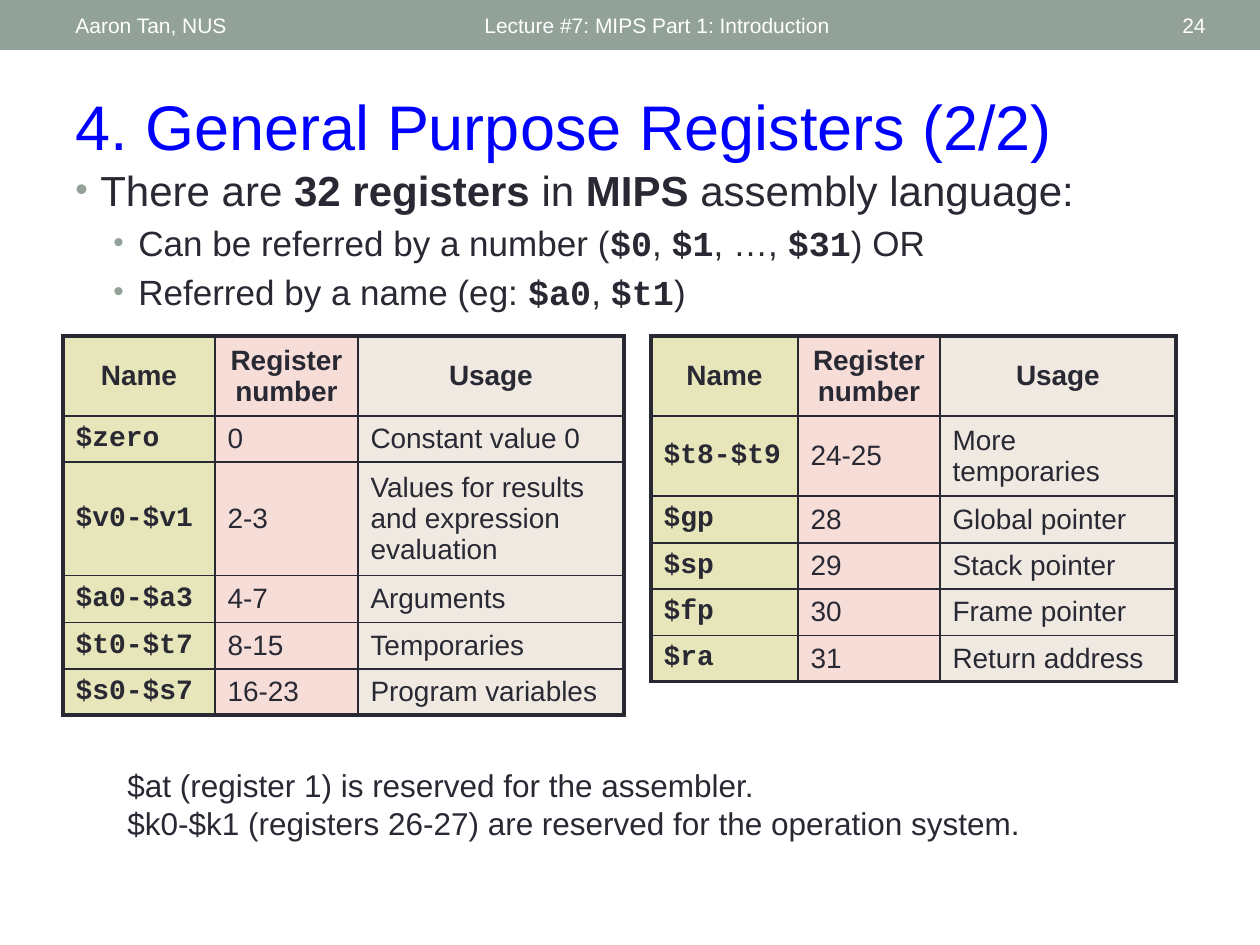
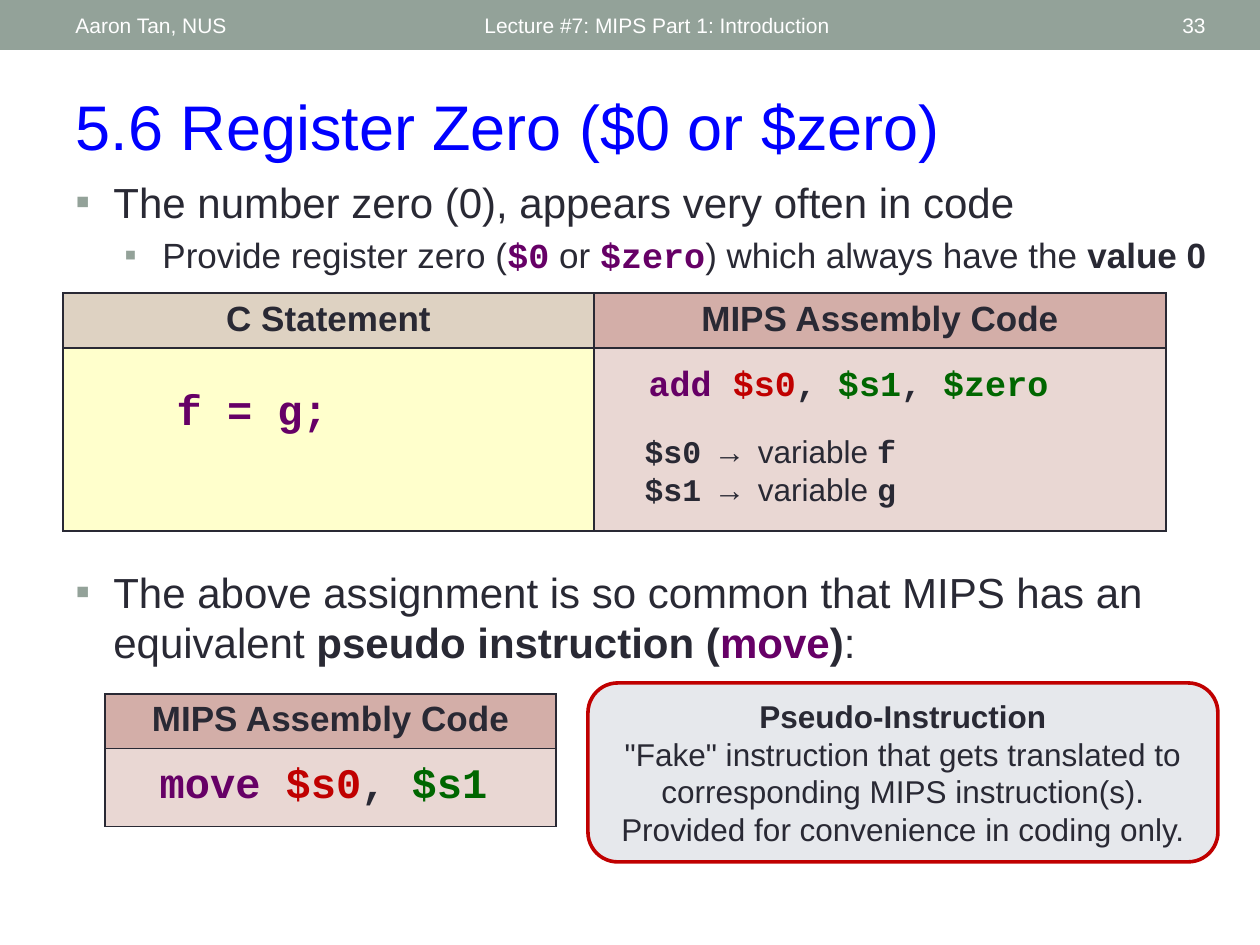
from dataclasses import dataclass, field

from lxml.etree import SubElement
from pptx import Presentation
from pptx.dml.color import RGBColor
from pptx.enum.shapes import MSO_SHAPE
from pptx.enum.text import MSO_ANCHOR, MSO_AUTO_SIZE, PP_ALIGN
from pptx.oxml.ns import qn
from pptx.util import Pt

SCALE = 914400 / 126
SANS, MONO = "Arial", "Courier New"

WHITE = RGBColor(0xFF, 0xFF, 0xFF)
INK = RGBColor(0x29, 0x29, 0x34)
SAGE = RGBColor(0x93, 0xA2, 0x99)
TITLE_BLUE = RGBColor(0x00, 0x00, 0xFF)
PURPLE = RGBColor(0x66, 0x00, 0x66)
RED = RGBColor(0xC0, 0x00, 0x00)
GREEN = RGBColor(0x00, 0x66, 0x00)
OLIVE = RGBColor(0xE7, 0xE5, 0xBA)
PINK = RGBColor(0xF6, 0xDD, 0xD8)
LINEN = RGBColor(0xEF, 0xE9, 0xE1)
TAN = RGBColor(0xDE, 0xD2, 0xC2)
ROSE = RGBColor(0xD3, 0xAE, 0xA8)
PALE_ROSE = RGBColor(0xE9, 0xD7, 0xD3)
PALE_YELLOW = RGBColor(0xFF, 0xFF, 0xCC)
PALE_GREY = RGBColor(0xE6, 0xE8, 0xEC)

BOLD = {"bold": True}
CODE = {"name": MONO, "bold": True}
PLAIN_CODE = {"name": MONO}
CODE_PURPLE = {**CODE, "color": PURPLE}
CODE_RED = {**CODE, "color": RED}
CODE_GREEN = {**CODE, "color": GREEN}
CENTERED = {"alignment": PP_ALIGN.CENTER}
REGISTER_FILLS = [OLIVE, PINK, LINEN]


@dataclass
class Line:
    runs: list
    size: int
    color: RGBColor = INK
    layout: dict = field(default_factory=dict)
    indent: int = 0
    hanging: int = 0
    bullet: str = ""
    bullet_percent: int = 100


@dataclass
class Cell:
    lines: list
    fill: RGBColor
    frame: dict = field(default_factory=dict)


def px(*lengths):
    return [round(length * SCALE) for length in lengths]


def set_all(target, values):
    for name, value in values.items():
        setattr(target, name, value)


def add_bullet(properties, line):
    color = SubElement(properties, qn("a:buClr"))
    SubElement(color, qn("a:srgbClr"), val=str(SAGE))
    SubElement(properties, qn("a:buSzPct"), val=str(line.bullet_percent * 1000))
    SubElement(properties, qn("a:buFont"), typeface=SANS)
    SubElement(properties, qn("a:buChar"), char=line.bullet)


def write_lines(frame, lines):
    for index, line in enumerate(lines):
        paragraph = frame.add_paragraph() if index else frame.paragraphs[0]
        properties = paragraph._p.get_or_add_pPr()
        margin, first_line = px(line.indent, -line.hanging)
        properties.set("marL", str(margin))
        properties.set("indent", str(first_line))
        if line.bullet:
            add_bullet(properties, line)
        set_all(paragraph, line.layout)
        for text, style in line.runs:
            values = {"name": SANS, "bold": False, "size": Pt(line.size), **style}
            run = paragraph.add_run()
            run.text = text
            run.font.color.rgb = values.pop("color", line.color)
            set_all(run.font, values)


def add_text(slide, box, lines, anchor=MSO_ANCHOR.TOP):
    frame = slide.shapes.add_textbox(*px(*box)).text_frame
    set_all(frame, {"word_wrap": True, "vertical_anchor": anchor})
    write_lines(frame, lines)


def add_panel(slide, kind, box, fill):
    shape = slide.shapes.add_shape(kind, *px(*box))
    shape.shadow.inherit = False
    shape.fill.solid()
    shape.fill.fore_color.rgb = fill
    shape.line.fill.background()
    return shape


def add_slide(presentation, title, number, title_width):
    slide = presentation.slides.add_slide(presentation.slide_layouts[5])
    add_panel(slide, MSO_SHAPE.RECTANGLE, (0, 0, 1260, 50), SAGE)
    for left, width, text, alignment in [
        (63, 399, "Aaron Tan, NUS", PP_ALIGN.LEFT),
        (472, 567, "Lecture #7: MIPS Part 1: Introduction", PP_ALIGN.LEFT),
        (1098, 120, str(number), PP_ALIGN.RIGHT),
    ]:
        label = Line([(text, {})], 12, WHITE, {"alignment": alignment})
        add_text(slide, (left, 3, width, 45), [label], MSO_ANCHOR.MIDDLE)
    placeholder = slide.shapes.title
    left, top, width, height = px(63, 80, title_width, 89)
    set_all(placeholder, {"left": left, "top": top, "width": width, "height": height})
    set_all(placeholder.text_frame, {
        "word_wrap": True,
        "auto_size": MSO_AUTO_SIZE.NONE,
        "vertical_anchor": MSO_ANCHOR.BOTTOM,
    })
    heading = Line([(title, {})], 36, TITLE_BLUE, {"alignment": PP_ALIGN.LEFT})
    write_lines(placeholder.text_frame, [heading])
    return slide


def add_border(cell, side, width):
    border = SubElement(cell._tc.get_or_add_tcPr(), qn(f"a:ln{side}"), w=str(Pt(width)))
    fill = SubElement(border, qn("a:solidFill"))
    SubElement(fill, qn("a:srgbClr"), val=str(INK))


def add_grid(slide, left, top, widths, heights, rows, outline=1):
    box = px(left, top, sum(widths), sum(heights))
    table = slide.shapes.add_table(len(heights), len(widths), *box).table
    set_all(table, {"first_row": False, "horz_banding": False})
    for column, width in zip(table.columns, px(*widths)):
        column.width = width
    for row, height in zip(table.rows, px(*heights)):
        row.height = height
    last_row, last_column = len(heights) - 1, len(widths) - 1
    for row_index, row in enumerate(rows):
        for column_index, content in enumerate(row):
            cell = table.cell(row_index, column_index)
            outer_sides = {
                "L": column_index == 0,
                "R": column_index == last_column,
                "T": row_index == 0,
                "B": row_index == last_row,
            }
            for side, is_outer in outer_sides.items():
                add_border(cell, side, outline if is_outer else 1)
            cell.fill.solid()
            cell.fill.fore_color.rgb = content.fill
            set_all(cell, content.frame)
            write_lines(cell.text_frame, content.lines)


def add_register_table(slide, left, widths, heights, registers):
    middle = {"vertical_anchor": MSO_ANCHOR.MIDDLE}
    table_rows = [("Name", "Register number", "Usage"), *registers]
    rows = []
    for index, texts in enumerate(table_rows):
        styles = [CODE, {}, {}] if index else [BOLD] * 3
        layout = {} if index else CENTERED
        rows.append([
            Cell([Line([(text, style)], 16, layout=layout)], fill, middle)
            for text, style, fill in zip(texts, styles, REGISTER_FILLS)
        ])
    add_grid(slide, left, 336, widths, heights, rows, outline=2.25)


def header_cell(text, fill):
    return Cell([Line([(text, BOLD)], 20, layout=CENTERED)], fill)


def point(runs, size, indent, hanging, bullet, first=False, percent=100):
    layout = {} if first else {"space_before": Pt(size * 0.2)}
    return Line(runs, size, INK, layout, indent, hanging, bullet, percent)


def variable_line(register, variable, space_before=0):
    runs = [(register, CODE), (" → ", PLAIN_CODE), ("variable ", {}), (variable, CODE)]
    return Line(runs, 18, layout={"space_before": Pt(space_before)}, indent=38)


def build_registers(presentation):
    slide = add_slide(presentation, "4. General Purpose Registers (2/2)", 24, 1134)
    intro = [("There are ", {}), ("32 registers", BOLD), (" in ", {}),
             ("MIPS", BOLD), (" assembly language:", {})]
    by_number = [("Can be referred by a number (", {}), ("$0", CODE), (", ", {}),
                 ("$1", CODE), (", …, ", {}), ("$31", CODE), (") OR", {})]
    by_name = [("Referred by a name (eg: ", {}), ("$a0", CODE), (", ", {}),
               ("$t1", CODE), (")", {})]
    add_text(slide, (63, 158, 1134, 693), [
        point(intro, 24, 25, 25, "•", True, 85),
        point(by_number, 20, 63, 25, "•", percent=85),
        point(by_name, 20, 63, 25, "•", percent=85),
    ])
    add_register_table(slide, 63, [152, 143, 266], [80, 46, 113, 47, 46, 46], [
        ("$zero", "0", "Constant value 0"),
        ("$v0-$v1", "2-3", "Values for results and expression evaluation"),
        ("$a0-$a3", "4-7", "Arguments"),
        ("$t0-$t7", "8-15", "Temporaries"),
        ("$s0-$s7", "16-23", "Program variables"),
    ])
    add_register_table(slide, 651, [147, 142, 236], [80, 80, 47, 46, 46, 46], [
        ("$t8-$t9", "24-25", "More temporaries"),
        ("$gp", "28", "Global pointer"),
        ("$sp", "29", "Stack pointer"),
        ("$fp", "30", "Frame pointer"),
        ("$ra", "31", "Return address"),
    ])
    add_text(slide, (115, 760, 977, 89), [
        Line([(text, {})], 18) for text in (
            "$at (register 1) is reserved for the assembler.",
            "$k0-$k1 (registers 26-27) are reserved for the operation system.",
        )
    ])


def build_register_zero(presentation):
    slide = add_slide(presentation, "5.6 Register Zero ($0 or $zero)", 33, 1155)
    provide = [("Provide register zero (", {}), ("$0", CODE_PURPLE), (" or ", {}),
               ("$zero", CODE_PURPLE), (") which always have the ", {}), ("value 0", BOLD)]
    add_text(slide, (63, 170, 1166, 154), [
        point([("The number zero (0), appears very often in code", {})], 24, 38, 38, "▪", True),
        point(provide, 20, 87, 38, "▪"),
    ])

    middle = {"vertical_anchor": MSO_ANCHOR.MIDDLE}
    assembly_header = header_cell("MIPS Assembly Code", ROSE)
    statement = Line([("f = g;", CODE_PURPLE)], 24,
                     layout={"line_spacing": Pt(24)}, indent=101)
    addition = Line([("add ", CODE_PURPLE), ("$s0", CODE_RED), (", ", CODE),
                     ("$s1", CODE_GREEN), (", ", CODE), ("$zero", CODE_GREEN)], 20, indent=42)
    assembly = [addition, variable_line("$s0", "f", 16), variable_line("$s1", "g")]
    add_grid(slide, 63, 293, [531, 572], [55, 183], [
        [header_cell("C Statement", TAN), assembly_header],
        [Cell([statement], PALE_YELLOW, {"margin_top": px(48)[0]}),
         Cell(assembly, PALE_ROSE, middle)],
    ])

    common = [("The above assignment is so common that MIPS has an equivalent ", {}),
              ("pseudo instruction (", BOLD), ("move", {**BOLD, "color": PURPLE}),
              (")", BOLD), (":", {})]
    add_text(slide, (63, 560, 1134, 134), [point(common, 24, 38, 38, "▪", True)])
    move = Line([("move ", CODE_PURPLE), ("$s0", CODE_RED), (", ", CODE),
                 ("$s1", CODE_GREEN)], 24, indent=42)
    add_grid(slide, 105, 694, [451], [54, 78],
             [[assembly_header], [Cell([move], PALE_ROSE, middle)]])

    note = add_panel(slide, MSO_SHAPE.ROUNDED_RECTANGLE, (588, 683, 630, 179), PALE_GREY)
    note.line.color.rgb = RED
    note.line.width = Pt(2.08)
    set_all(note.text_frame, {"word_wrap": True, **middle})
    write_lines(note.text_frame, [
        Line([("Pseudo-Instruction", BOLD)], 18, layout=CENTERED),
        Line([('"Fake" instruction that gets translated to corresponding MIPS '
               "instruction(s). Provided for convenience in coding only.", {})],
             18, layout=CENTERED),
    ])


def main():
    presentation = Presentation()
    presentation.slide_width, presentation.slide_height = px(1260, 945)
    build_registers(presentation)
    build_register_zero(presentation)
    presentation.save("out.pptx")


if __name__ == "__main__":
    main()
